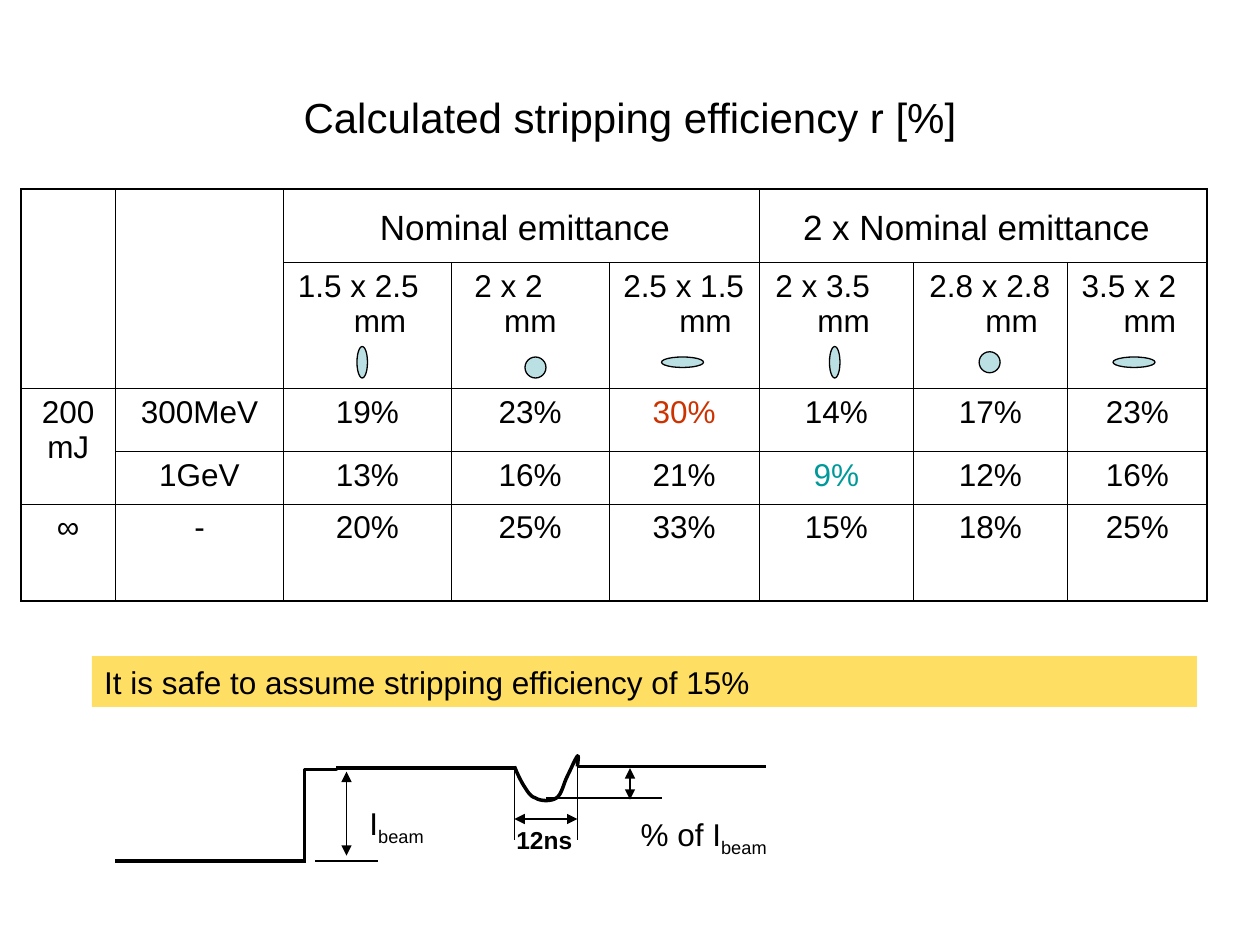
import pptx
import pptx.dml.color
import pptx.enum.shapes
import pptx.enum.text
import pptx.oxml
import pptx.oxml.ns
import pptx.util
from lxml import etree

Pt = pptx.util.Pt
ALIGN = pptx.enum.text.PP_ALIGN
SHAPES = pptx.enum.shapes.MSO_SHAPE
CONNECTORS = pptx.enum.shapes.MSO_CONNECTOR


def color(hex_string):
    return pptx.dml.color.RGBColor.from_string(hex_string)


def child(parent, tag, **attributes):
    return etree.SubElement(parent, pptx.oxml.ns.qn(tag), attributes)


def bezier(start, curves, steps=8):
    """Points along joined cubic curves, after the start point."""
    points = []
    for a, b, end in curves:
        for step in range(1, steps + 1):
            t = step / steps
            weights = ((1 - t) ** 3, 3 * t * (1 - t) ** 2, 3 * t * t * (1 - t), t ** 3)
            points.append(tuple(sum(w * p[axis] for w, p in zip(weights, (start, a, b, end)))
                                for axis in (0, 1)))
        start = end
    return points


class SlideWriter:
    font = "Arial"
    ink = "000000"
    thin, thick = 0.75, 2
    inner_border, outer_border = 0.45, 1.08

    def __init__(self, page):
        self.page = page

    def style(self, para, size, ink=None, bold=False, align=ALIGN.LEFT):
        para.alignment = align
        para.font.name = self.font
        para.font.size = Pt(size)
        para.font.bold = bold
        para.font.color.rgb = color(ink or self.ink)

    def outline(self, shape, width):
        shape.line.color.rgb = color(self.ink)
        shape.line.width = Pt(width)

    def title(self, text, left, top, width, height):
        box = self.page.shapes.title
        box.left, box.top, box.width, box.height = map(Pt, (left, top, width, height))
        box.text_frame.text = text
        box.text_frame.vertical_anchor = pptx.enum.text.MSO_ANCHOR.MIDDLE
        self.style(box.text_frame.paragraphs[0], 24, align=ALIGN.CENTER)

    def text(self, text, left, top, width, height, size=18, subscript="", **look):
        box = self.page.shapes.add_textbox(*map(Pt, (left, top, width, height)))
        box.text_frame.word_wrap = True
        para = box.text_frame.paragraphs[0]
        para.add_run().text = text
        if subscript:
            span = para.add_run()
            span.text = subscript
            span._r.get_or_add_rPr().set("baseline", "-25000")
        self.style(para, size, **look)

    def banner(self, text, left, top, width, height, fill, opacity):
        box = self.page.shapes.add_shape(SHAPES.RECTANGLE, *map(Pt, (left, top, width, height)))
        box.shadow.inherit = False
        box.fill.solid()
        box.fill.fore_color.rgb = color(fill)
        tint = box._element.spPr.find(".//" + pptx.oxml.ns.qn("a:srgbClr"))
        child(tint, "a:alpha", val=str(opacity * 1000))
        box.line.fill.background()
        box.text_frame.text = text
        self.style(box.text_frame.paragraphs[0], 18)

    def ellipse(self, left, top, width, height):
        spot = self.page.shapes.add_shape(SHAPES.OVAL, *map(Pt, (left, top, width, height)))
        spot.shadow.inherit = False
        spot.fill.solid()
        spot.fill.fore_color.rgb = color("BBE0E3")
        self.outline(spot, self.thin)

    def line(self, x1, y1, x2, y2, width=thin, arrows=False, kind=CONNECTORS.STRAIGHT):
        link = self.page.shapes.add_connector(kind, *map(Pt, (x1, y1, x2, y2)))
        self.outline(link, width)
        if arrows:
            for end in ("a:headEnd", "a:tailEnd"):
                child(link.line._get_or_add_ln(), end, type="triangle")
        child(link._element.spPr, "a:effectLst")
        return link

    def step(self, left, top, width, height, bend):
        """Elbow line turned a quarter, rising first and then going right."""
        link = self.line(left + width, top + height, left, top, self.thick, kind=CONNECTORS.ELBOW)
        link._element.spPr.find(pptx.oxml.ns.qn("a:xfrm")).set("rot", "5400000")
        guides = link._element.spPr.find(".//" + pptx.oxml.ns.qn("a:avLst"))
        child(guides, "a:gd", name="adj1", fmla=f"val {bend}")

    def curve(self, start, curves):
        builder = self.page.shapes.build_freeform(*map(Pt, start))
        builder.add_line_segments([(Pt(x), Pt(y)) for x, y in bezier(start, curves)], close=False)
        shape = builder.convert_to_shape()
        shape.shadow.inherit = False
        shape.fill.background()
        self.outline(shape, self.thick)

    def border(self, cell, side, width):
        edge = child(cell._tc.get_or_add_tcPr(), "a:ln" + side, w=str(Pt(width)))
        if width:
            child(child(edge, "a:solidFill"), "a:srgbClr", val=self.ink)
        else:
            child(edge, "a:noFill")

    def table(self, left, top, columns, rows, values, merges, groups, inks, hangs):
        """groups: column ranges without inner lines in row 0; hangs: indents of row 1."""
        frame = self.page.shapes.add_table(
            len(rows), len(columns), *map(Pt, (left, top, sum(columns), sum(rows))))
        table = frame.table
        table.first_row = table.horz_banding = False
        for column, width in zip(table.columns, columns):
            column.width = Pt(width)
        for row, height in zip(table.rows, rows):
            row.height = Pt(height)
        for (r1, c1), (r2, c2) in merges:
            table.cell(r1, c1).merge(table.cell(r2, c2))

        def vertical(r, edge):
            if edge in (0, len(columns)):
                return self.outer_border
            inside = r == 0 and any(first < edge < last for first, last in groups)
            return 0 if inside else self.inner_border

        def horizontal(edge):
            return self.outer_border if edge in (0, len(rows)) else self.inner_border

        for r in range(len(rows)):
            for c in range(len(columns)):
                cell = table.cell(r, c)
                for side, width in (("L", vertical(r, c)), ("R", vertical(r, c + 1)),
                                    ("T", horizontal(r)), ("B", horizontal(r + 1))):
                    self.border(cell, side, width)
                cell.fill.background()
                text = values[r][c]
                if not text:
                    continue
                cell.text = text
                para = cell.text_frame.paragraphs[0]
                align = ALIGN.CENTER
                if r == 1:
                    first, rest = hangs[c]
                    properties = para._p.get_or_add_pPr()
                    properties.set("marL", str(Pt(rest)))
                    properties.set("indent", str(Pt(first - rest)))
                    cell.margin_right = 0
                    align = ALIGN.LEFT
                self.style(para, 18, ink=inks.get((r, c)), align=align)


def main():
    deck = pptx.Presentation()
    deck.slide_width, deck.slide_height = Pt(720), Pt(540)
    writer = SlideWriter(deck.slides.add_slide(deck.slide_layouts[5]))
    writer.title("Calculated stripping efficiency r [%]", 36, 21.6, 648, 90)

    # Efficiency table
    sizes = ["1.5 x 2.5", "2 x 2", "2.5 x 1.5", "2 x 3.5", "2.8 x 2.8", "3.5 x 2"]
    values = [
        [""] * 8,
        ["", ""] + [size + "\vmm" for size in sizes],
        ["200 mJ", "300MeV", "19%", "23%", "30%", "14%", "17%", "23%"],
        ["", "1GeV", "13%", "16%", "21%", "9%", "12%", "16%"],
        ["∞", "-", "20%", "25%", "33%", "15%", "18%", "25%"],
    ]
    hangs = dict(enumerate([(1, 33), (6, 23), (1, 33), (2, 26), (2, 34), (1, 25)], start=2))
    writer.table(12, 108, [54, 96, 96, 90, 86, 88, 88, 80], [42, 72, 36, 30, 55.5], values,
                 merges=[((0, 0), (1, 0)), ((0, 1), (1, 1)), ((2, 0), (3, 0))],
                 groups=[(2, 5), (5, 8)], inks={(2, 4): "CC3300", (3, 5): "009999"}, hangs=hangs)
    for text, left in (("Nominal emittance", 168), ("2 x Nominal emittance", 426)):
        writer.text(text, left, 114, 264, 32, size=20, align=ALIGN.CENTER)

    # Conclusion
    writer.banner("It is safe to assume stripping efficiency of 15%",
                  52.5, 375, 631.5, 29, "FFCC00", 61)

    # Beam cross sections
    tall, circle, wide = (6, 18), (12, 12), (24, 6)
    for left, top, size in ((204, 198, tall), (300, 204, circle), (378, 204, wide),
                            (474, 198, tall), (559.5, 201, circle), (636, 204, wide)):
        writer.ellipse(left, top, *size)

    # Beam current trace
    for x1, y, x2 in ((66, 492, 174), (192, 439, 294), (330, 438, 438)):
        writer.line(x1, y, x2, y, writer.thick)
    writer.step(156, 457, 54, 18, 98800)
    writer.curve((294, 438), [((296, 443), (298, 447), (300, 450)),
                              ((302, 453), (303, 455), (306, 456)),
                              ((309, 458), (315, 458), (318, 456)),
                              ((321, 454), (322, 448), (324, 444)),
                              ((326, 440), (329, 433), (330, 432)),
                              ((331, 431), (330, 437), (330, 438))])

    # Guide lines and dimensions
    for ends in ((294, 438, 294, 480), (330, 438, 330, 480),
                 (180, 492, 216, 492), (312, 456, 378, 456)):
        writer.line(*ends)
    for ends in ((294, 468, 330, 468), (198, 441, 198, 489), (360, 439, 360, 457)):
        writer.line(*ends, arrows=True)
    writer.text("12ns", 288, 468, 66, 24.5, size=14, bold=True)
    writer.text("I", 204, 456, 54, 32, subscript="beam")
    writer.text("% of I", 359, 462, 103, 32, subscript="beam")

    deck.save("out.pptx")


if __name__ == "__main__":
    main()
